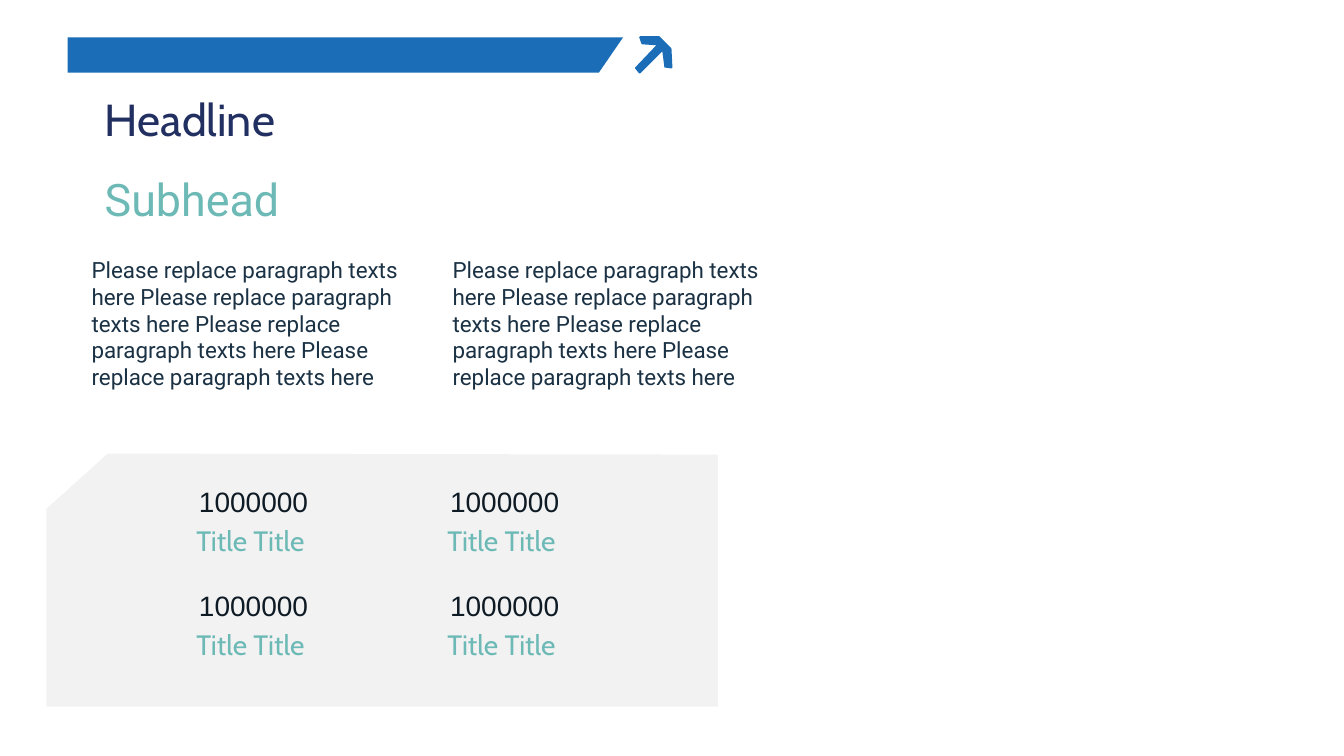
from dataclasses import dataclass
from itertools import product

from lxml import etree
from pptx import Presentation
from pptx import util as u
from pptx.dml.color import RGBColor
from pptx.enum import text
from pptx.oxml.ns import qn


@dataclass(frozen=True)
class Theme:
    panel: str = "F2F2F2"
    blue: str = "1A6DB6"
    navy: str = "222F61"
    teal: str = "6CB9B6"
    ink: str = "0E1A24"
    body: str = "1B3245"
    display_font: str = "Cabin"
    body_font: str = "Roboto"
    digit_font: str = "Arial"
    heading_size: int = 32
    figure_size: int = 20
    body_size: int = 16


THEME = Theme()


@dataclass(frozen=True)
class Outline:
    points: tuple[tuple[float, float], ...]
    color: str


@dataclass(frozen=True)
class Label:
    words: str
    left: float
    top: float
    width: float
    height: float
    size: int
    font: str
    color: str
    centered: bool = False
    right_to_left: bool = False
    indent: float = 0


def draw_outline(page, outline: Outline) -> None:
    points = [(u.Inches(x), u.Inches(y)) for x, y in outline.points]
    builder = page.shapes.build_freeform(*points[0], scale=1.0)
    builder.add_line_segments(points[1:], close=True)
    shape = builder.convert_to_shape()
    shape.shadow.inherit = False
    shape.fill.solid()
    shape.fill.fore_color.rgb = RGBColor.from_string(outline.color)
    shape.line.fill.background()


def draw_label(page, label: Label) -> None:
    area = (label.left, label.top, label.width, label.height)
    box = page.shapes.add_textbox(*map(u.Inches, area))
    frame = box.text_frame
    frame.word_wrap = True
    frame.auto_size = text.MSO_AUTO_SIZE.SHAPE_TO_FIT_TEXT
    para = frame.paragraphs[0]
    if label.centered:
        para.alignment = text.PP_ALIGN.CENTER
    properties = para._p.get_or_add_pPr()
    if label.indent:
        properties.set("marL", str(u.Inches(label.indent)))
        properties.set("indent", "0")
    span = para.add_run()
    span.text = label.words
    formats = {"name": label.font, "size": u.Pt(label.size)}
    for name, value in formats.items():
        setattr(span.font, name, value)
    span.font.color.rgb = RGBColor.from_string(label.color)
    if label.right_to_left:
        properties.set("rtl", "1")
        script_font = etree.SubElement(span._r.get_or_add_rPr(), qn("a:cs"))
        script_font.set("typeface", THEME.digit_font)


# Panel with a cut corner, title banner and diagonal arrow
PANEL = Outline(
    ((7.12, 4.51), (1.07, 4.5), (0.46, 5.05), (0.46, 7.01), (7.12, 7.01)),
    THEME.panel,
)
BANNER = Outline(((0.67, 0.37), (0.67, 0.72), (5.94, 0.72), (6.18, 0.37)), THEME.blue)
ARROW = Outline(
    (
        (6.35, 0.36), (6.54, 0.36), (6.66, 0.48), (6.67, 0.67), (6.66, 0.68),
        (6.59, 0.67), (6.57, 0.51), (6.35, 0.73), (6.34, 0.73), (6.3, 0.68),
        (6.3, 0.67), (6.51, 0.45), (6.37, 0.44), (6.36, 0.43), (6.34, 0.37),
    ),
    THEME.blue,
)

# Headings
HEADINGS = (
    Label("Headline", 0.94, 0.86, 3.12, 0.64,
          THEME.heading_size, THEME.display_font, THEME.navy),
    Label("Subhead", 0.94, 1.65, 4.58, 0.64,
          THEME.heading_size, THEME.body_font, THEME.teal),
)

# Body columns and the grid of figures
BODY_WORDS = " ".join(["Please replace paragraph texts here"] * 4)
BODY_LEFTS = (0.75, 4.33)
FIGURE_LEFTS = (1.71, 4.2)
FIGURE_TOPS = (4.76, 5.79)
TITLE_DROP = 0.385


def draw_body(page) -> None:
    for left in BODY_LEFTS:
        draw_label(page, Label(BODY_WORDS, left, 2.49, 3.45, 1.45, THEME.body_size,
                               THEME.body_font, THEME.body, indent=0.06))


def draw_figures(page) -> None:
    for top, left in product(FIGURE_TOPS, FIGURE_LEFTS):
        draw_label(page, Label("1000000", left, top, 1.61, 0.44, THEME.figure_size,
                               THEME.display_font, THEME.ink,
                               centered=True, right_to_left=True))
        draw_label(page, Label("Title Title ", left, top + TITLE_DROP, 1.61, 0.44,
                               THEME.figure_size, THEME.display_font, THEME.teal,
                               centered=True))


def main() -> None:
    deck = Presentation()
    deck.slide_width, deck.slide_height = u.Inches(13.33), u.Inches(7.5)
    page = deck.slides.add_slide(deck.slide_layouts[6])
    for outline in (PANEL, BANNER, ARROW):
        draw_outline(page, outline)
    for heading in HEADINGS:
        draw_label(page, heading)
    draw_body(page)
    draw_figures(page)
    deck.save("out.pptx")


if __name__ == "__main__":
    main()
